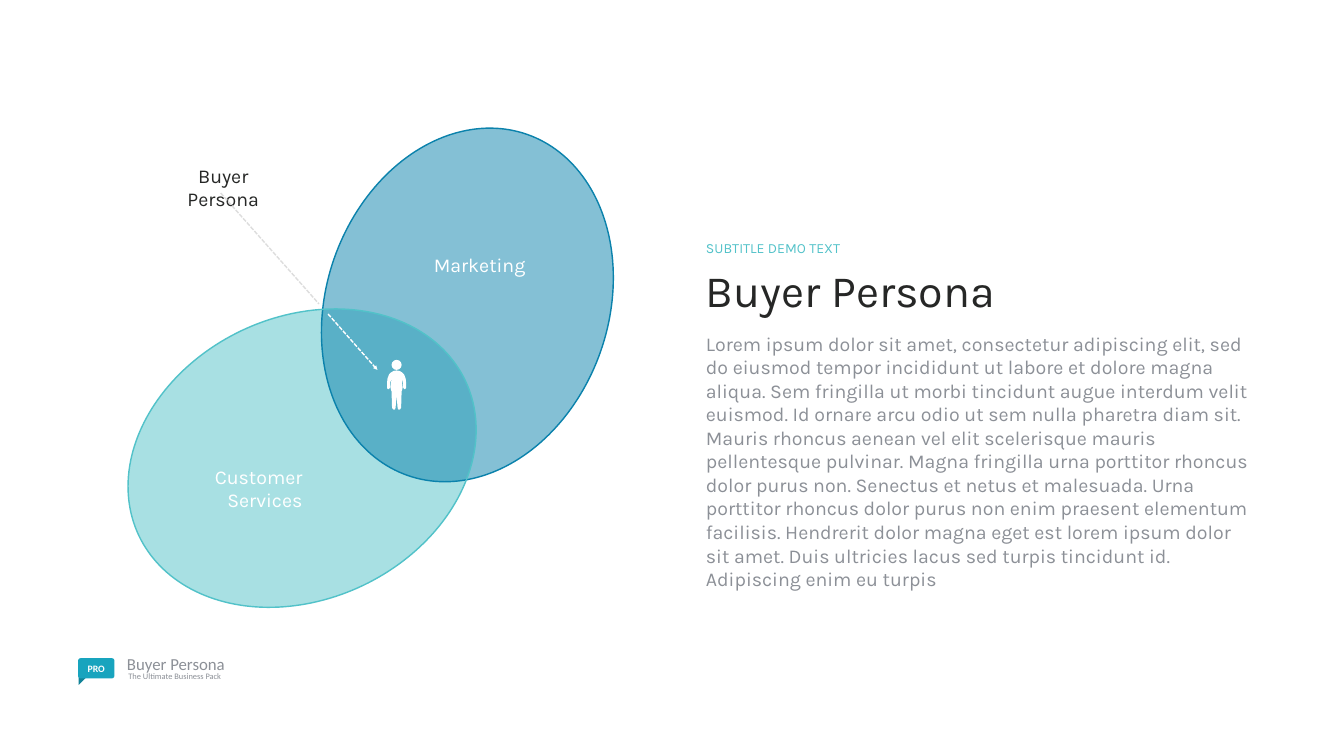
from dataclasses import dataclass

from lxml import etree
from pptx import Presentation
from pptx import util as u
from pptx.dml.color import RGBColor
from pptx.enum import dml, shapes, text
from pptx.oxml import ns

# The grid: one column and one row are one inch each
COLUMNS, ROWS = 26.67, 15
CELL = u.Inches(1)

WHITE = RGBColor(0xFF, 0xFF, 0xFF)
INK = RGBColor(0x26, 0x27, 0x26)
GREY = RGBColor(0x8C, 0x90, 0x97)
PALE = RGBColor(0xDD, 0xDD, 0xDD)
TEAL = RGBColor(0x52, 0xC2, 0xC9)
BLUE = RGBColor(0x0B, 0x82, 0xAC)
BADGE = RGBColor(0x18, 0xA4, 0xBE)
BADGE_FOLD = RGBColor(0x13, 0x83, 0x98)

LEFT, CENTER, RIGHT = text.PP_ALIGN.LEFT, text.PP_ALIGN.CENTER, text.PP_ALIGN.RIGHT


@dataclass
class Label:
    words: str
    column: float
    row: float
    width: float
    height: float
    size: int
    color: RGBColor
    align: int = LEFT
    font: str = "Karla"


@dataclass
class Circle:
    column: float
    row: float
    rotation: float
    color: RGBColor


@dataclass
class Pointer:
    start: tuple[float, float]
    end: tuple[float, float]
    color: RGBColor
    arrow: bool = False


BODY_TEXT = (
    "Lorem ipsum dolor sit amet, consectetur adipiscing elit, sed do eiusmod tempor "
    "incididunt ut labore et dolore magna aliqua. Sem fringilla ut morbi tincidunt augue "
    "interdum velit euismod. Id ornare arcu odio ut sem nulla pharetra diam sit. Mauris "
    "rhoncus aenean vel elit scelerisque mauris pellentesque pulvinar. Magna fringilla urna "
    "porttitor rhoncus dolor purus non. Senectus et netus et malesuada. Urna porttitor "
    "rhoncus dolor purus non enim praesent elementum facilisis. Hendrerit dolor magna eget "
    "est lorem ipsum dolor sit amet. Duis ultricies lacus sed turpis tincidunt id. "
    "Adipiscing enim eu turpis"
)
TEXT_COLUMN = 13.91
FOOTER = [
    Label("Buyer Persona", 2.42, 12.87, 2.44, 0.61, 24, GREY, font="Calibri"),
    Label("The Ultimate Business Pack", 2.45, 13.21, 2.17, 0.4, 12, GREY, font="Calibri"),
]
ARTICLE = [
    Label(BODY_TEXT, TEXT_COLUMN, 6.48, 11.1, 4.91, 28, GREY),
    Label("Buyer Persona", TEXT_COLUMN, 5.12, 9.49, 1.28, 64, INK),
    Label("SUBTITLE DEMO TEXT", TEXT_COLUMN, 4.65, 7.49, 0.54, 20, TEAL),
]
DIAGRAM_LABELS = [
    Label("Buyer Persona", 3.13, 3.15, 2.6, 1.14, 28, INK, CENTER),
    Label("Customer Services", 3.5, 9.12, 2.6, 1.14, 28, WHITE, RIGHT),
    Label("Marketing", 8.51, 4.91, 2.6, 0.67, 28, WHITE),
]
CIRCLE_WIDTH, CIRCLE_HEIGHT = 7.17, 5.6
CIRCLES = [Circle(2.41, 6.29, 334.6, TEAL), Circle(5.69, 3.25, 289.3, BLUE)]
POINTERS = [
    Pointer((4.38, 3.83), (6.33, 6.03), PALE),
    Pointer((6.51, 6.23), (7.49, 7.34), WHITE, arrow=True),
]

# Right half of the figure: distance from its axis, and row
FIGURE_AXIS = 7.87
HALF_BODY = [
    (0, 7.35), (0.06, 7.36), (0.11, 7.39), (0.15, 7.43), (0.18, 7.51), (0.19, 7.6),
    (0.19, 7.7), (0.17, 7.72), (0.15, 7.72), (0.13, 7.69), (0.13, 7.6), (0.1, 7.51),
    (0.12, 7.69), (0.11, 7.74), (0.1, 7.76), (0.09, 8.09), (0.07, 8.12), (0.05, 8.13),
    (0.03, 8.12), (0.02, 8.09), (0, 7.85),
]


def cells(*lengths: float) -> list[int]:
    return [round(length * CELL) for length in lengths]


def paint(shape, color: RGBColor) -> None:
    shape.shadow.inherit = False
    shape.fill.solid()
    shape.fill.fore_color.rgb = color
    shape.line.fill.background()


def write(frame, words: str, size: int, color: RGBColor, font: str, align: int) -> None:
    frame.text = words
    para = frame.paragraphs[0]
    para.alignment = align
    span = para.runs[0].font
    span.name, span.size, span.color.rgb = font, u.Pt(size), color


def add_label(page, label: Label) -> None:
    box = page.shapes.add_textbox(*cells(label.column, label.row, label.width, label.height))
    frame = box.text_frame
    frame.word_wrap = True
    frame.margin_left = frame.margin_right = frame.margin_top = frame.margin_bottom = u.Inches(0.1)
    write(frame, label.words, label.size, label.color, label.font, label.align)


def add_circle(page, circle: Circle, filled: bool) -> None:
    ellipse = page.shapes.add_shape(
        shapes.MSO_SHAPE.OVAL, *cells(circle.column, circle.row, CIRCLE_WIDTH, CIRCLE_HEIGHT))
    ellipse.rotation = circle.rotation
    paint(ellipse, circle.color)
    if filled:
        tint = ellipse.fill._xPr.find(ns.qn("a:solidFill"))[0]
        etree.SubElement(tint, ns.qn("a:alpha"), val="50000")
    else:
        ellipse.fill.background()
        ellipse.line.color.rgb = circle.color
        ellipse.line.width = u.Pt(2)


def add_pointer(page, pointer: Pointer) -> None:
    line = page.shapes.add_connector(
        shapes.MSO_CONNECTOR.STRAIGHT, *cells(*pointer.start, *pointer.end))
    line.line.color.rgb = pointer.color
    line.line.width = u.Pt(2)
    line.line.dash_style = dml.MSO_LINE.SQUARE_DOT
    properties = line._element.spPr
    if pointer.arrow:
        etree.SubElement(properties.find(ns.qn("a:ln")), ns.qn("a:tailEnd"), type="triangle")
    etree.SubElement(properties, ns.qn("a:effectLst"))


def add_outline(page, points: list[tuple[float, float]], color: RGBColor) -> None:
    corners = [tuple(cells(*point)) for point in points]
    builder = page.shapes.build_freeform(*corners[0])
    builder.add_line_segments(corners[1:], close=True)
    paint(builder.convert_to_shape(), color)


def add_figure(page) -> None:
    head = page.shapes.add_shape(
        shapes.MSO_SHAPE.OVAL, *cells(FIGURE_AXIS - 0.1, 7.14, 0.2, 0.2))
    paint(head, WHITE)
    right = [(FIGURE_AXIS + reach, row) for reach, row in HALF_BODY]
    left = [(FIGURE_AXIS - reach, row) for reach, row in HALF_BODY[-2:0:-1]]
    add_outline(page, right + left, WHITE)


def add_badge(page) -> None:
    add_outline(page, [(1.56, 13.42), (1.73, 13.42), (1.56, 13.59)], BADGE_FOLD)
    plate = page.shapes.add_shape(
        shapes.MSO_SHAPE.ROUNDED_RECTANGLE, *cells(1.55, 13.06, 0.72, 0.4))
    plate.adjustments[0] = 0.12
    paint(plate, BADGE)
    frame = plate.text_frame
    frame.margin_left = frame.margin_right = frame.margin_top = frame.margin_bottom = 0
    frame.vertical_anchor = text.MSO_ANCHOR.MIDDLE
    write(frame, "PRO", 14, WHITE, "Calibri", CENTER)
    frame.paragraphs[0].runs[0].font.bold = True


deck = Presentation()
deck.slide_width, deck.slide_height = cells(COLUMNS, ROWS)
page = deck.slides.add_slide(deck.slide_layouts[6])

# Footer and article
add_badge(page)
for label in FOOTER + ARTICLE:
    add_label(page, label)

# Overlapping circles, with the outlines on top
for circle in CIRCLES:
    add_circle(page, circle, filled=True)
add_figure(page)
for label in DIAGRAM_LABELS:
    add_label(page, label)
for pointer in POINTERS:
    add_pointer(page, pointer)
for circle in reversed(CIRCLES):
    add_circle(page, circle, filled=False)

deck.save("out.pptx")
